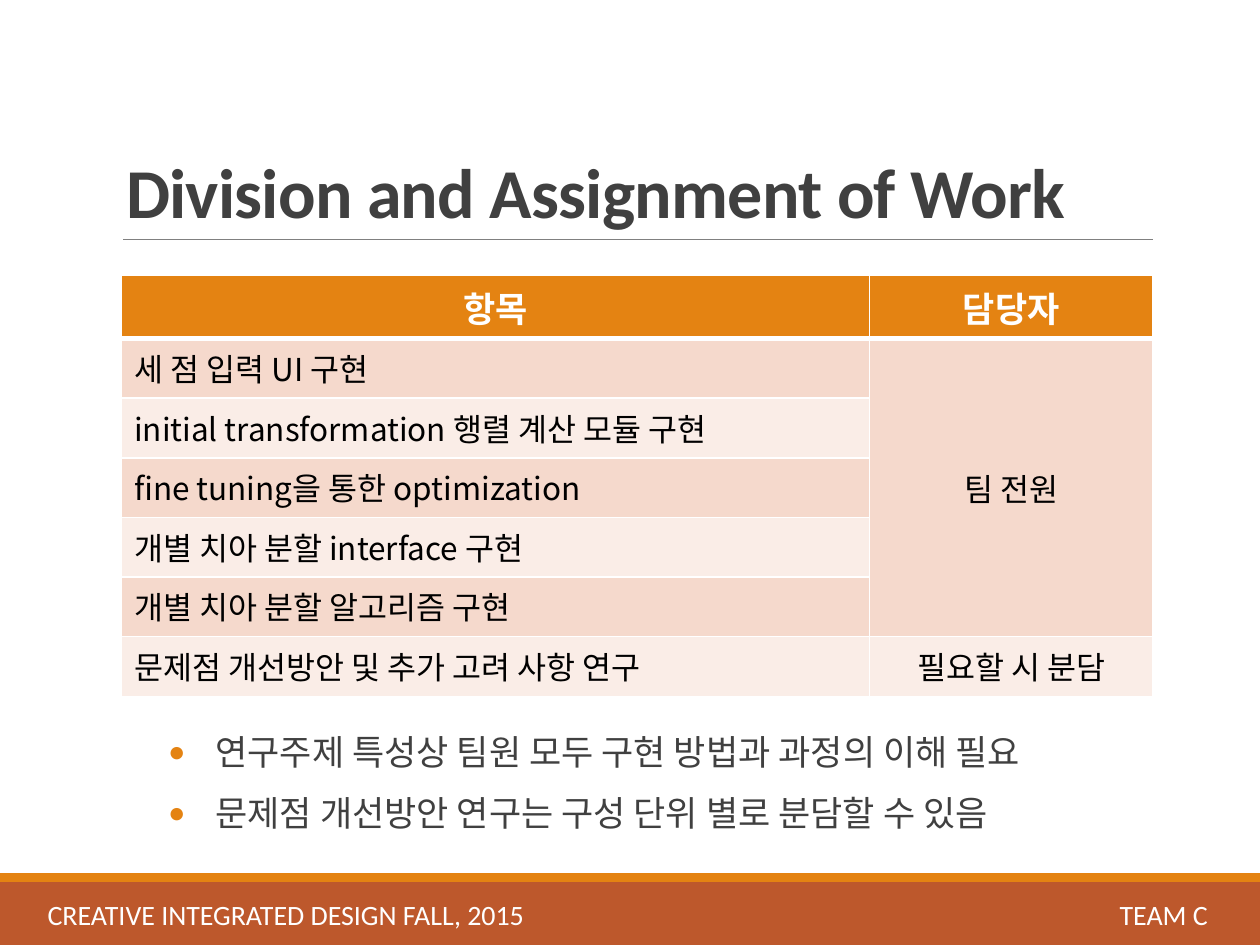
"""Build the slide on the division and assignment of work."""
import lxml.etree
import pptx
import pptx.dml.color
import pptx.enum.shapes
import pptx.enum.text
import pptx.oxml.ns
import pptx.util

Pt = pptx.util.Pt
ALIGN = pptx.enum.text.PP_ALIGN
ANCHOR = pptx.enum.text.MSO_ANCHOR

TITLE = "Division and Assignment of Work"
HEADINGS = ["항목", "담당자"]
TASKS = [
    "세 점 입력 UI 구현",
    "initial transformation 행렬 계산 모듈 구현",
    "fine tuning을 통한 optimization",
    "개별 치아 분할 interface 구현",
    "개별 치아 분할 알고리즘 구현",
    "문제점 개선방안 및 추가 고려 사항 연구",
]
OWNERS = {1: "팀 전원", 6: "필요할 시 분담"}
SHARED_ROWS = (1, 5)
NOTES = [
    "연구주제 특성상 팀원 모두 구현 방법과 과정의 이해 필요",
    "문제점 개선방안 연구는 구성 단위 별로 분담할 수 있음",
]
FOOTERS = [
    ("CREATIVE INTEGRATED DESIGN FALL, 2015", (0, 504.7, 326.9, 35.3)),
    ("TEAM C", (610.6, 504.7, 108.7, 35.3)),
]
BANDS = [("rust", (0, 504, 720, 36)), ("orange", (0, 499, 720, 5))]
RULE = (70.5, 136.8, 658.8, 136.8)
TITLE_BOX = (64.8, 22.3, 594, 114.5)
NOTES_BOX = (69.1, 409, 589.7, 71.3)
TABLE_BOX = (69.5, 157.2, 589.4, 238.7)
COLUMN_WIDTHS = (427.4, 162)

THEME = {
    "colors": {
        "rust": "BD582C", "orange": "E48312", "grey": "808080",
        "ink": "404040", "white": "FFFFFF", "black": "000000",
        "dark band": "F5D9CC", "light band": "FAEDE7",
    },
    "type": {
        "title": ({"name": "Calibri", "size": Pt(40), "bold": True}, "ink"),
        "heading": ({"name": "Noto Sans CJK KR", "size": Pt(20), "bold": True}, "white"),
        "cell": ({"name": "Noto Sans CJK KR", "size": Pt(18), "bold": False}, "black"),
        "note": ({"name": "Noto Sans CJK KR", "size": Pt(20), "bold": False}, "ink"),
        "footer": ({"name": "Calibri", "size": Pt(16), "bold": False}, "white"),
    },
}


def color(name):
    return pptx.dml.color.RGBColor.from_string(THEME["colors"][name])


def points(values):
    return [Pt(value) for value in values]


def child(parent, tag, **attributes):
    return lxml.etree.SubElement(parent, pptx.oxml.ns.qn(tag), attributes)


def apply(target, values):
    for name, value in values.items():
        setattr(target, name, value)


def write(para, text, style, **layout):
    apply(para, layout)
    span = para.add_run()
    span.text = text
    values, ink = THEME["type"][style]
    apply(span.font, values)
    span.font.color.rgb = color(ink)
    properties = span.font._element
    child(properties, "a:ea", typeface=values["name"])
    return properties


def place(box, bounds, anchor):
    apply(box, dict(zip(("left", "top", "width", "height"), points(bounds))))
    apply(box.text_frame, {
        "word_wrap": True,
        "auto_size": pptx.enum.text.MSO_AUTO_SIZE.NONE,
        "vertical_anchor": anchor,
    })
    return box.text_frame


def add_bands(page):
    for fill, bounds in BANDS:
        band = page.shapes.add_shape(
            pptx.enum.shapes.MSO_SHAPE.RECTANGLE, *points(bounds))
        band.shadow.inherit = False
        band.fill.solid()
        band.fill.fore_color.rgb = color(fill)
        band.line.fill.background()
    rule = page.shapes.add_connector(
        pptx.enum.shapes.MSO_CONNECTOR.STRAIGHT, *points(RULE))
    rule.line.width = Pt(0.5)
    rule.line.color.rgb = color("grey")
    child(rule._element.spPr, "a:effectLst")


def add_title(page):
    frame = place(page.shapes.title, TITLE_BOX, ANCHOR.BOTTOM)
    properties = write(frame.paragraphs[0], TITLE, "title",
                       alignment=ALIGN.LEFT, line_spacing=0.85)
    properties.set("spc", "-40")


def add_notes(page):
    frame = place(page.placeholders[1], NOTES_BOX, ANCHOR.TOP)
    for index, text in enumerate(NOTES):
        para = frame.add_paragraph() if index else frame.paragraphs[0]
        para.level = 1
        properties = para._p.get_or_add_pPr()
        properties.set("marL", str(Pt(46.8)))
        properties.set("indent", str(Pt(-27)))
        bullet_color = child(properties, "a:buClr")
        child(bullet_color, "a:srgbClr", val=THEME["colors"]["orange"])
        child(properties, "a:buFont", typeface="Calibri")
        child(properties, "a:buChar", char="•")
        write(para, text, "note", alignment=ALIGN.LEFT, line_spacing=1.2,
              space_before=Pt(2 if index else 0), space_after=Pt(4))


def format_cell(cell, fill, row):
    edges = {"L": 1, "R": 1, "T": 3 if row == 1 else 1, "B": 3 if row == 0 else 1}
    for edge, width in edges.items():
        line = child(cell._tc.get_or_add_tcPr(), f"a:ln{edge}", w=str(Pt(width)))
        child(child(line, "a:solidFill"), "a:srgbClr", val=THEME["colors"]["white"])
    cell.fill.solid()
    cell.fill.fore_color.rgb = color(fill)


def add_table(page):
    row_count = len(TASKS) + 1
    table = page.shapes.add_table(
        row_count, len(HEADINGS), *points(TABLE_BOX)).table
    for column, width in zip(table.columns, COLUMN_WIDTHS):
        column.width = Pt(width)
    for row in range(row_count):
        table.rows[row].height = Pt(TABLE_BOX[3] / row_count)
        texts = [TASKS[row - 1], OWNERS.get(row)] if row else HEADINGS
        fill = ("dark band" if row % 2 else "light band") if row else "orange"
        for column, text in enumerate(texts):
            cell = table.cell(row, column)
            format_cell(cell, fill, row)
            if text:
                centred = row == 0 or column == 1
                write(cell.text_frame.paragraphs[0], text,
                      "cell" if row else "heading",
                      alignment=ALIGN.CENTER if centred else ALIGN.LEFT)
    first, last = SHARED_ROWS
    shared = table.cell(first, 1)
    shared.merge(table.cell(last, 1))
    shared.vertical_anchor = ANCHOR.MIDDLE


def add_footers(page):
    for text, bounds in FOOTERS:
        box = page.shapes.add_textbox(*points(bounds))
        frame = place(box, bounds, ANCHOR.MIDDLE)
        write(frame.paragraphs[0], text, "footer", alignment=ALIGN.CENTER)


def main():
    deck = pptx.Presentation()
    deck.slide_width, deck.slide_height = Pt(720), Pt(540)
    page = deck.slides.add_slide(deck.slide_layouts[1])
    for add_part in (add_bands, add_title, add_table, add_footers, add_notes):
        add_part(page)
    deck.save("out.pptx")


if __name__ == "__main__":
    main()
